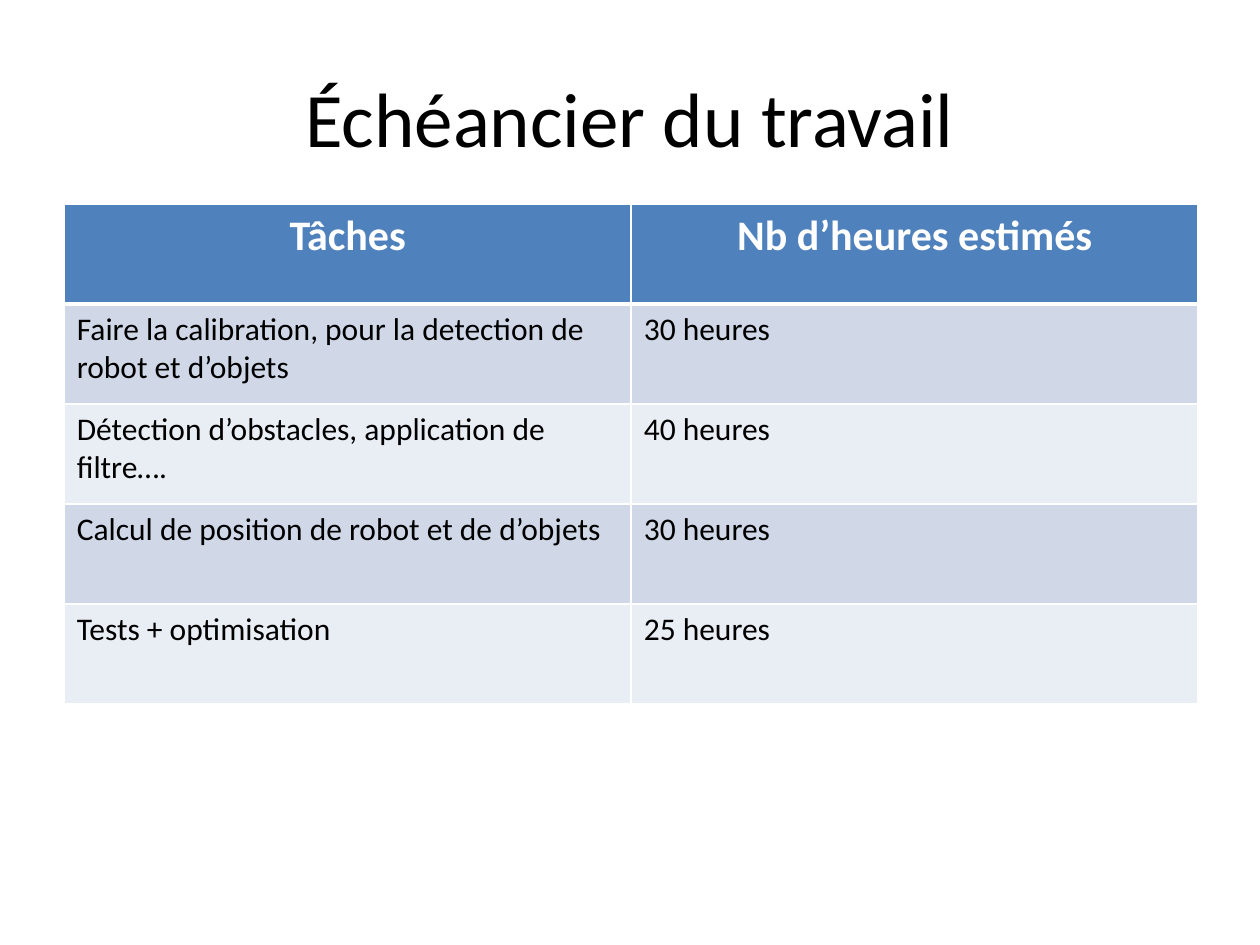
from dataclasses import dataclass

from lxml import etree
from pptx import Presentation
from pptx.dml.color import RGBColor
from pptx.enum.text import MSO_ANCHOR, PP_ALIGN
from pptx.oxml.ns import qn
from pptx.table import _Cell
from pptx.text.text import TextFrame
from pptx.util import Inches, Pt

CENTER, LEFT = PP_ALIGN.CENTER, PP_ALIGN.LEFT
MIDDLE, TOP = MSO_ANCHOR.MIDDLE, MSO_ANCHOR.TOP


@dataclass(frozen=True)
class Theme:
    font: str = "Calibri"
    black: str = "000000"
    white: str = "FFFFFF"
    header: str = "4F81BD"
    bands: tuple[str, str] = ("D0D8E8", "E9EDF4")
    title_size: int = 44
    header_size: int = 24
    body_size: int = 18
    thin: int = 1
    thick: int = 3


@dataclass(frozen=True)
class Task:
    name: str
    hours: str


@dataclass(frozen=True)
class CellStyle:
    fill: str
    color: str
    size: int
    bold: bool
    align: PP_ALIGN
    top: int
    bottom: int


THEME = Theme()
HEADING = Task("Tâches", "Nb d’heures estimés")
TASKS = [
    Task("Faire la calibration, pour la detection de robot et d’objets", "30 heures"),
    Task("Détection d’obstacles, application de filtre….", "40 heures"),
    Task("Calcul de position de robot et de d’objets", "30 heures"),
    Task("Tests + optimisation", "25 heures"),
]


def write(tf: TextFrame, text: str, size: int, color: str, bold: bool, align: PP_ALIGN) -> None:
    tf.text = text
    p = tf.paragraphs[0]
    p.alignment = align
    font = p.runs[0].font
    font.name, font.size, font.bold = THEME.font, Pt(size), bold
    font.color.rgb = RGBColor.from_string(color)


def add_border(cell: _Cell, side: str, width: int) -> None:
    tc_pr = cell._tc.get_or_add_tcPr()
    ln = etree.SubElement(tc_pr, qn(f"a:ln{side}"), w=str(Pt(width)))
    fill = etree.SubElement(ln, qn("a:solidFill"))
    etree.SubElement(fill, qn("a:srgbClr"), val=THEME.white)


def row_style(index: int) -> CellStyle:
    if index == 0:
        return CellStyle(THEME.header, THEME.white, THEME.header_size, True, CENTER,
                         THEME.thin, THEME.thick)
    return CellStyle(THEME.bands[(index - 1) % 2], THEME.black, THEME.body_size, False, LEFT,
                     THEME.thick if index == 1 else THEME.thin, THEME.thin)


def draw_cell(cell: _Cell, text: str, style: CellStyle) -> None:
    widths = {"L": THEME.thin, "R": THEME.thin, "T": style.top, "B": style.bottom}
    for side, width in widths.items():
        add_border(cell, side, width)
    cell.fill.solid()
    cell.fill.fore_color.rgb = RGBColor.from_string(style.fill)
    cell.vertical_anchor = TOP
    write(cell.text_frame, text, style.size, style.color, style.bold, style.align)


prs = Presentation()
prs.slide_width, prs.slide_height = Inches(10), Inches(7.5)
s = prs.slides.add_slide(prs.slide_layouts[5])

title = s.shapes.title
title.left, title.top = Inches(0.5), Inches(0.3)
title.width, title.height = Inches(9), Inches(1.25)
title.text_frame.vertical_anchor = MIDDLE
write(title.text_frame, "Échéancier du travail", THEME.title_size, THEME.black, False, CENTER)

rows = [HEADING, *TASKS]
table = s.shapes.add_table(
    len(rows), 2, Inches(0.51), Inches(1.62), Inches(9), Inches(3.97)
).table
for index, task in enumerate(rows):
    for column, text in enumerate((task.name, task.hours)):
        draw_cell(table.cell(index, column), text, row_style(index))

prs.save("out.pptx")
